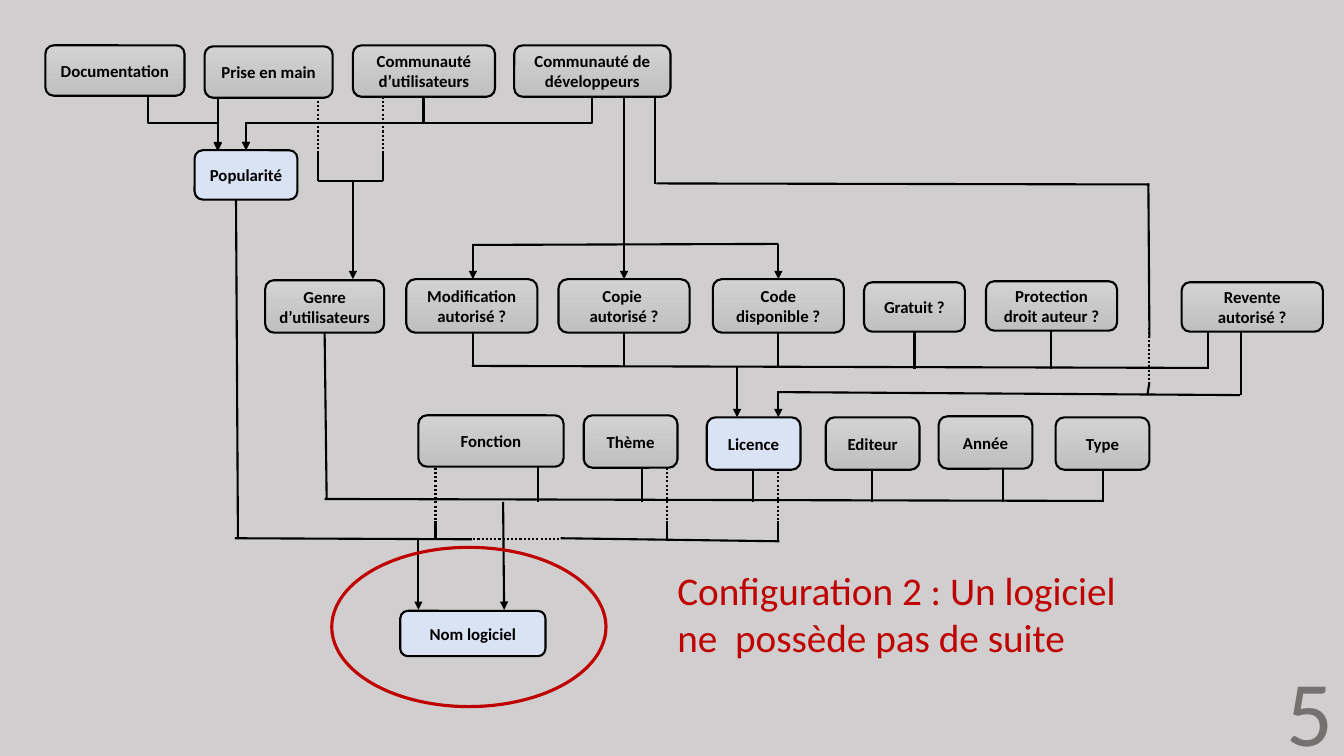
from lxml import etree
from pptx import Presentation
from pptx.dml.color import RGBColor
from pptx.enum.dml import MSO_LINE
from pptx.enum.shapes import MSO_CONNECTOR as CON, MSO_SHAPE as SHAPE
from pptx.enum.text import MSO_ANCHOR as ANCHOR, PP_ALIGN as ALIGN
from pptx.oxml.ns import qn
from pptx.util import Inches, Pt

BLACK, RED, BLUE, BACK, GREY = "000000", "C00000", "DAE3F3", "D0CECE", "767171"
GREY_TOP, GREY_BOTTOM = "D2D2D2", "C0C0C0"


def rgb(hex_color):
    return RGBColor.from_string(hex_color)


class Diagram:
    """Holds the style and the current slide."""
    font, line_width = "Calibri", 1.5

    def __init__(self, slide):
        self.slide = slide
        fill = slide.background.fill
        fill.solid()
        fill.fore_color.rgb = rgb(BACK)

    def set_text(self, sp, text, size, color, bold=False, align=ALIGN.LEFT):
        tf = sp.text_frame
        tf.word_wrap = True
        tf.text = text
        for p in tf.paragraphs:
            p.alignment = align
            for r in p.runs:
                r.font.name, r.font.size, r.font.bold = self.font, Pt(size), bold
                r.font.color.rgb = rgb(color)

    def outline(self, kind, x, y, w, h, color, width):
        sp = self.slide.shapes.add_shape(kind, Inches(x), Inches(y), Inches(w), Inches(h))
        sp.shadow.inherit = False
        sp.line.color.rgb = rgb(color)
        sp.line.width = Pt(width)
        return sp

    def box(self, text, x, y, w, h, result=False):
        sp = self.outline(SHAPE.ROUNDED_RECTANGLE, x, y, w, h, BLACK, self.line_width)
        if result:
            sp.fill.solid()
            sp.fill.fore_color.rgb = rgb(BLUE)
        else:
            sp.fill.gradient()
            sp.fill.gradient_angle = 270
            for stop, color in zip(sp.fill.gradient_stops, (GREY_TOP, GREY_BOTTOM)):
                stop.color.rgb = rgb(color)
        self.set_text(sp, text, 12, BLACK, bold=True, align=ALIGN.CENTER)
        sp.text_frame.vertical_anchor = ANCHOR.MIDDLE

    def ring(self, x, y, w, h):
        self.outline(SHAPE.OVAL, x, y, w, h, RED, 2.25).fill.background()

    def text(self, text, x, y, w, h, size, color):
        sp = self.slide.shapes.add_textbox(Inches(x), Inches(y), Inches(w), Inches(h))
        self.set_text(sp, text, size, color)

    def line(self, x1, y1, x2, y2, arrow=False, dotted=False, kind=CON.STRAIGHT):
        s = self.slide.shapes.add_connector(kind, Inches(x1), Inches(y1), Inches(x2), Inches(y2))
        s.line.color.rgb = rgb(BLACK)
        s.line.width = Pt(self.line_width)
        if dotted:
            s.line.dash_style = MSO_LINE.ROUND_DOT
        if arrow:
            ln = s._element.spPr.find(qn("a:ln"))
            etree.SubElement(ln, qn("a:tailEnd"), type="triangle")
        etree.SubElement(s._element.spPr, qn("a:effectLst"))
        return s

    def elbow(self, x1, y1, x2, y2, bend=0.5):
        """Arrow that leaves downwards: a horizontal elbow turned by 90 degrees."""
        cx, cy, dx, dy = (x1 + x2) / 2, (y1 + y2) / 2, (x2 - x1) / 2, (y2 - y1) / 2
        s = self.line(cx - dy, cy + dx, cx + dy, cy - dx, arrow=True, kind=CON.ELBOW)
        s._element.spPr.find(qn("a:xfrm")).set("rot", str(90 * 60000))
        guides = s._element.spPr.find(qn("a:prstGeom")).find(qn("a:avLst"))
        etree.SubElement(guides, qn("a:gd"), name="adj1", fmla=f"val {round(bend * 100000)}")


prs = Presentation()
prs.slide_width, prs.slide_height = Inches(13.33), Inches(7.5)
d = Diagram(prs.slides.add_slide(prs.slide_layouts[6]))

# Links into Popularité
d.elbow(1.47, 0.71, 2.16, 1.5, bend=0.65)
for x in (4.2, 5.87):
    d.elbow(x, 0.96, 2.44, 1.49)
d.line(2.16, 0.95, 2.16, 1.49, arrow=True)

# Links into Genre d'utilisateurs
for x in (3.15, 3.8):
    d.line(x, 0.96, x, 1.5, dotted=True)
    d.line(x, 1.5, x, 1.8)
d.line(3.15, 1.8, 3.8, 1.8)
d.line(3.5, 1.8, 3.5, 2.77, arrow=True)

# Developers to the three questions on the code
d.line(6.19, 0.96, 6.19, 2.49)
d.line(4.69, 2.43, 7.72, 2.42)
for x in (4.69, 6.19, 7.72):
    d.line(x, 2.42, x, 2.77, arrow=True)

# Questions into Licence
d.line(4.68, 3.63, 11.97, 3.65)
for x in (4.69, 6.19, 7.72, 9.07, 10.42, 11.98):
    d.line(x, 3.28, x, 3.63 if x < 9 else 3.66)
d.line(7.31, 3.64, 7.31, 4.14, arrow=True)

# Developers and Revente into Licence
d.line(6.5, 0.9, 6.5, 1.83)
d.line(6.51, 1.82, 11.4, 1.83)
d.line(11.39, 1.82, 11.4, 3.35)
d.line(11.4, 3.25, 11.4, 3.79, dotted=True)
d.line(11.4, 3.79, 11.38, 3.92)
d.line(12.31, 3.25, 12.31, 3.92)
d.line(12.3, 3.92, 7.71, 3.89)
d.line(7.72, 3.88, 7.72, 4.14, arrow=True)

# Upper collecting line into Nom logiciel
d.line(3.24, 4.95, 3.22, 3.3)
d.line(3.22, 4.95, 10.94, 4.97)
for x in (5.34, 6.37, 7.47, 8.65, 9.95, 10.94):
    d.line(x, 4.63, x, 4.98)
d.line(4.99, 4.98, 5, 6.05, arrow=True)

# Lower collecting line into Nom logiciel
d.line(2.36, 5.33, 2.34, 1.8)
d.line(2.33, 5.34, 4.68, 5.35)
d.line(4.61, 5.35, 5.54, 5.35, dotted=True)
d.line(5.56, 5.34, 7.73, 5.37)
for x in (4.32, 6.62, 7.72):
    d.line(x, 4.64, x, 5.18, dotted=True)
    d.line(x, 5.17, x, 5.36)
d.line(4.15, 5.35, 4.15, 6.05, arrow=True)

# Criteria
for name, x, y, w, h in (
    ("Documentation", 0.45, 0.45, 1.38, 0.5),
    ("Prise en main", 2.03, 0.46, 1.27, 0.51),
    ("Communauté d’utilisateurs", 3.5, 0.45, 1.41, 0.51),
    ("Communauté de développeurs", 5.1, 0.45, 1.55, 0.51),
    ("Genre d’utilisateurs", 2.63, 2.78, 1.18, 0.52),
    ("Modification autorisé ?", 4.03, 2.77, 1.3, 0.53),
    ("Copie \nautorisé ?", 5.54, 2.77, 1.3, 0.53),
    ("Code disponible ?", 7.07, 2.77, 1.3, 0.53),
    ("Gratuit ?", 8.57, 2.8, 1, 0.49),
    ("Protection droit auteur ?", 9.78, 2.79, 1.3, 0.49),
    ("Revente autorisé ?", 11.72, 2.8, 1.4, 0.49),
    ("Fonction", 4.15, 4.12, 1.44, 0.51),
    ("Thème", 5.79, 4.12, 0.93, 0.52),
    ("Editeur", 8.19, 4.14, 0.93, 0.52),
    ("Année", 9.31, 4.13, 0.93, 0.52),
    ("Type", 10.47, 4.14, 0.93, 0.52),
):
    d.box(name, x, y, w, h)

# Results
d.box("Popularité", 1.93, 1.49, 1.02, 0.49, result=True)
d.box("Licence", 7.01, 4.14, 0.93, 0.52, result=True)
d.box("Nom logiciel", 3.97, 6.06, 1.44, 0.45, result=True)

# Highlight, message and page number
d.ring(3.29, 5.43, 2.72, 1.58)
d.text("Configuration 2 : Un logiciel ne  possède pas de suite", 6.62, 5.57, 4.67, 1.04, 28, RED)
d.text("5", 12.66, 6.44, 0.67, 1.06, 66, GREY)

prs.save("out.pptx")
